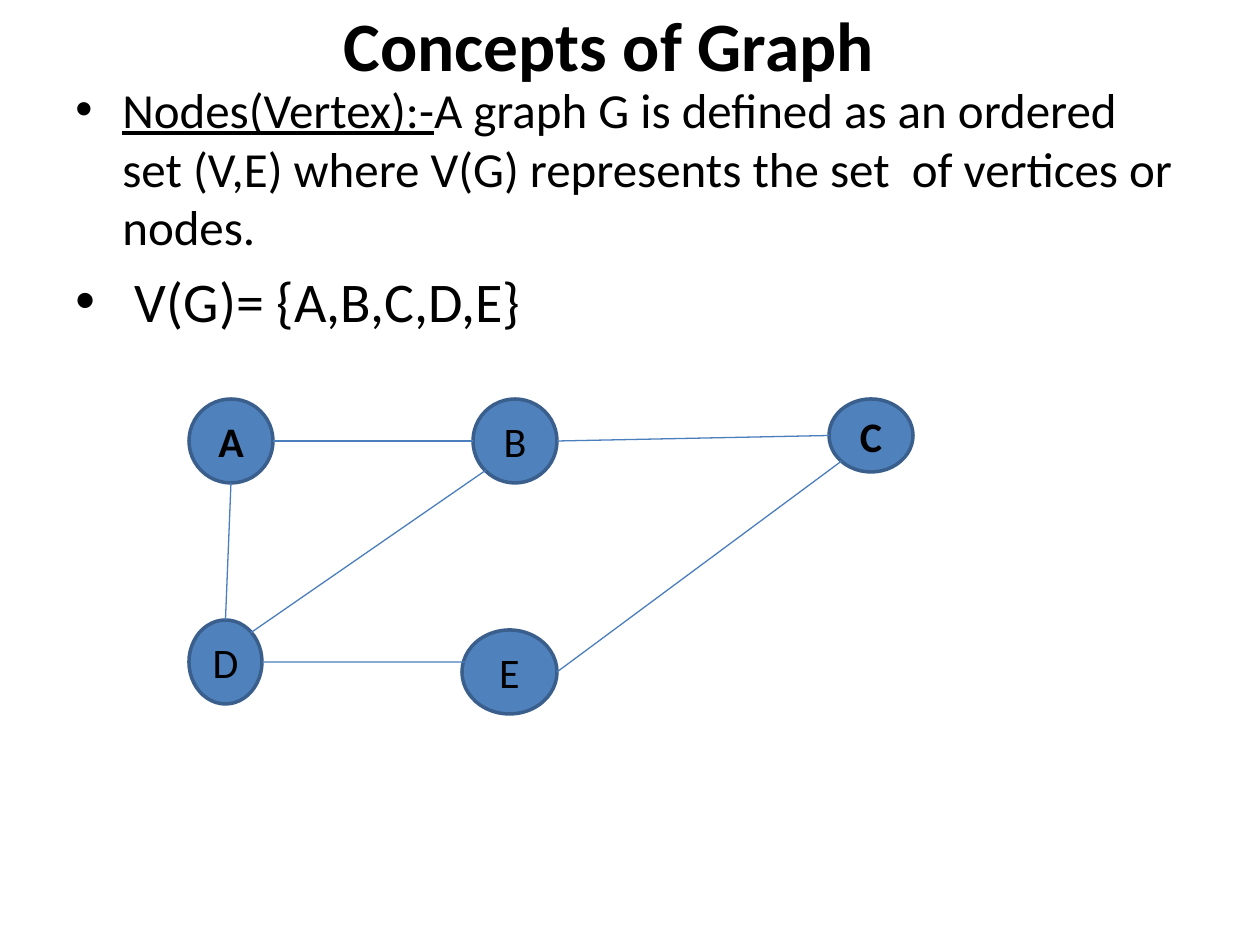
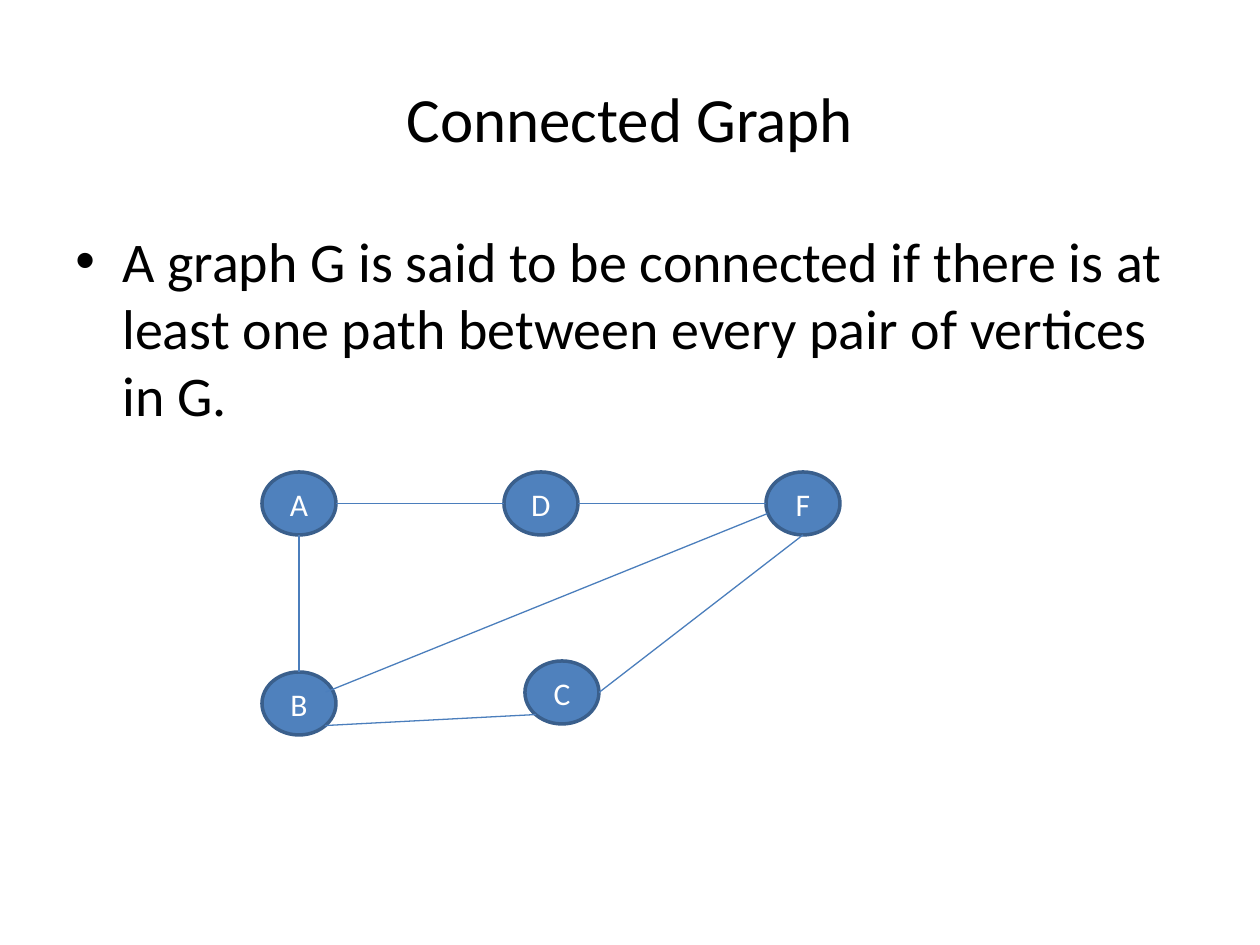
from dataclasses import dataclass

from lxml import etree
from pptx import Presentation
from pptx import util as u
from pptx.dml.color import RGBColor
from pptx.enum import shapes, text
from pptx.oxml.ns import qn

SCALE = u.Inches(1) / 126


@dataclass(frozen=True)
class Theme:
    """Colours, font and sizes shared by the slides."""
    font: str = "Calibri"
    ink: str = "000000"
    pale: str = "FFFFFF"
    fill: str = "4F81BD"
    rim: str = "3A5F8C"
    edge: str = "4B7EBC"
    rim_pt: float = 2
    edge_pt: float = 0.75
    strong: float = 39.6
    title: float = 36
    body: float = 32
    small: float = 28
    label: float = 24
    tag: float = 18


THEME = Theme()

SPOTS = {
    "top": (0.5, 0), "left": (0, 0.5), "base": (0.5, 1), "right": (1, 0.5),
    "base left": (0.15, 0.85), "base right": (0.85, 0.85), "top left": (0.15, 0.15),
    "top right": (0.85, 0.15), "upper left": (0.11, 0.38),
    "upper right": (0.86, 0.32), "lower left": (0.02, 0.66),
}


def px(*sizes):
    """Turn px lengths into EMU."""
    return [round(size * SCALE) for size in sizes]


def add_run(para, words, size, color=THEME.ink, bold=False, under=False):
    """Add one styled run to a paragraph."""
    run = para.add_run()
    run.text = words
    font = run.font
    font.name, font.size = THEME.font, u.Pt(size)
    font.bold, font.underline = bold, under
    font.color.rgb = RGBColor.from_string(color)


def add_box(slide, box):
    """Add a wrapping text box and return its frame."""
    frame = slide.shapes.add_textbox(*px(*box)).text_frame
    frame.word_wrap = True
    return frame


def add_title(slide, box, words, size, bold=False):
    """Add a centred title."""
    frame = add_box(slide, box)
    frame.vertical_anchor = text.MSO_ANCHOR.MIDDLE
    para = frame.paragraphs[0]
    para.alignment = text.PP_ALIGN.CENTER
    add_run(para, words, size, bold=bold)


def add_list(slide, box, items):
    """Add bullet paragraphs, each a list of (words, size, under) runs."""
    frame = add_box(slide, box)
    for pos, runs in enumerate(items):
        para = frame.add_paragraph() if pos else frame.paragraphs[0]
        props = para._p.get_or_add_pPr()
        indent = px(47)[0]
        props.set("marL", str(indent))
        props.set("indent", str(-indent))
        etree.SubElement(props, qn("a:buFont"), typeface="Arial")
        etree.SubElement(props, qn("a:buChar"), char="•")
        if pos:
            para.space_before = u.Pt(round(runs[0][1] * 0.2, 1))
        for words, size, under in runs:
            add_run(para, words, size, under=under)


def add_node(slide, box, name, size, color, bold):
    """Add one labelled vertex."""
    node = slide.shapes.add_shape(shapes.MSO_SHAPE.OVAL, *px(*box))
    node.shadow.inherit = False
    node.fill.solid()
    node.fill.fore_color.rgb = RGBColor.from_string(THEME.fill)
    node.line.color.rgb = RGBColor.from_string(THEME.rim)
    node.line.width = u.Pt(THEME.rim_pt)
    node.text_frame.vertical_anchor = text.MSO_ANCHOR.MIDDLE
    para = node.text_frame.paragraphs[0]
    para.alignment = text.PP_ALIGN.CENTER
    add_run(para, name, size, color, bold)


def add_edge(slide, start, end):
    """Add one straight edge between two px points."""
    edge = slide.shapes.add_connector(shapes.MSO_CONNECTOR.STRAIGHT, *px(*start, *end))
    edge.line.color.rgb = RGBColor.from_string(THEME.edge)
    edge.line.width = u.Pt(THEME.edge_pt)
    etree.SubElement(edge._element.spPr, qn("a:effectLst"))


def add_graph(slide, origin, nodes, edges, size, color, strong=""):
    """Draw vertices relative to the origin, and edges from spot to spot."""
    left, top = origin
    boxes = {name: (left + x, top + y, w, h) for name, (x, y, w, h) in nodes.items()}
    for name, box in boxes.items():
        add_node(slide, box, name, size, color, name in strong)

    def point(name, spot):
        """Find a spot on a vertex."""
        x, y, w, h = boxes[name]
        across, down = SPOTS[spot]
        return x + w * across, y + h * down

    for first, leave, last, reach in edges:
        add_edge(slide, point(first, leave), point(last, reach))


def draw_concepts(slide):
    """Build the slide on graph concepts."""
    add_title(slide, (42, 0, 1134, 88), "Concepts of Graph", THEME.strong, True)
    add_list(slide, (63, 73, 1134, 771), [
        [("Nodes(Vertex):-", THEME.small, True),
         ("A graph G is defined as an ordered set (V,E) where V(G) represents "
          "the set  of vertices or nodes.", THEME.small, False)],
        [(" V(G)= {A,B,C,D,E}", THEME.body, False)],
    ])
    nodes = {
        "A": (0, 0, 84, 84), "D": (0, 221, 73, 84), "B": (284, 0, 84, 84),
        "C": (640, 0, 84, 73), "E": (273, 231, 95, 84),
    }
    edges = [
        ("A", "right", "B", "left"), ("A", "base", "D", "top"),
        ("D", "right", "E", "upper left"), ("E", "right", "C", "base left"),
        ("B", "right", "C", "left"), ("B", "base left", "D", "top right"),
    ]
    add_graph(slide, (189, 399), nodes, edges, THEME.label, THEME.ink, "AC")


def draw_connected(slide):
    """Build the slide on connected graphs."""
    add_title(slide, (63, 38, 1134, 158), "Connected Graph", THEME.title)
    add_list(slide, (63, 220, 1134, 624), [
        [("A graph G is said to be connected if there is at least one path "
          "between every pair of vertices in G.", THEME.body, False)],
    ])
    spots = {"A": (0, 0), "D": (242, 0), "F": (504, 0), "B": (0, 200), "C": (263, 189)}
    nodes = {name: (*spot, 74, 63) for name, spot in spots.items()}
    edges = [
        ("A", "base", "B", "top"), ("A", "right", "D", "left"),
        ("D", "right", "F", "left"), ("B", "upper right", "F", "lower left"),
        ("B", "base right", "C", "base left"), ("C", "right", "F", "base"),
    ]
    add_graph(slide, (262, 472), nodes, edges, THEME.tag, THEME.pale)


def main():
    """Build and save the deck."""
    deck = Presentation()
    deck.slide_width, deck.slide_height = px(1260, 945)
    for draw in (draw_concepts, draw_connected):
        draw(deck.slides.add_slide(deck.slide_layouts[6]))
    deck.save("out.pptx")


if __name__ == "__main__":
    main()
